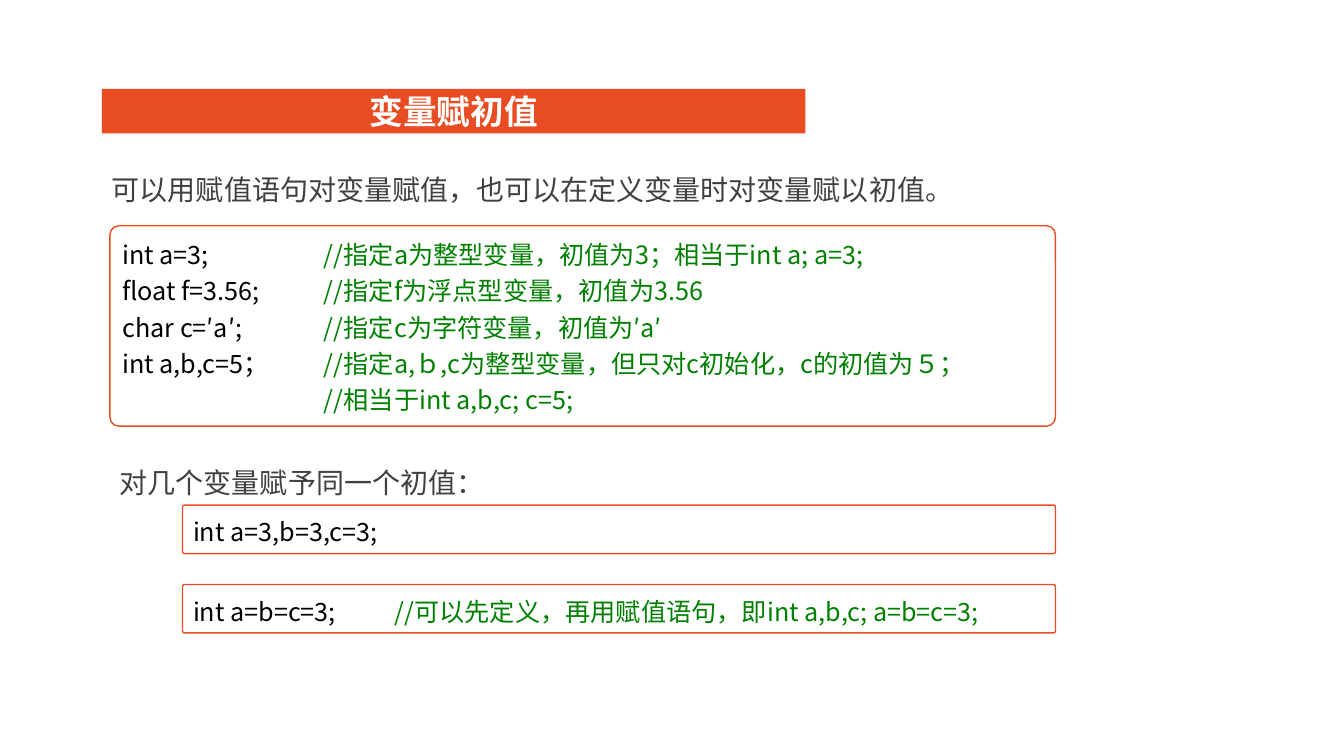
"""Build a slide on giving variables their initial values."""
from dataclasses import dataclass

from lxml.etree import SubElement
from pptx import Presentation
from pptx.dml.color import RGBColor
from pptx.enum.shapes import MSO_SHAPE as SHAPE
from pptx.enum.text import MSO_ANCHOR as ANCHOR, MSO_AUTO_SIZE as AUTO, PP_ALIGN as ALIGN
from pptx.oxml.ns import qn
from pptx.util import Cm, Pt

FONT = "Noto Sans CJK SC"
ORANGE, WHITE, GREY, BLACK, GREEN = "E84C22", "FFFFFF", "404040", "000000", "008000"
COMMENT_TAB = 5.08


@dataclass
class Box:
    left: float
    top: float
    width: float
    height: float

    def lengths(self) -> tuple:
        return Cm(self.left), Cm(self.top), Cm(self.width), Cm(self.height)


@dataclass
class Intro:
    box: Box
    text: str


@dataclass
class Code:
    box: Box
    lines: list[tuple[str, str]]


TITLE_BOX = Box(2.57, 2.24, 17.73, 1.12)
INTROS = [
    Intro(Box(2.57, 3.81, 26.54, 1.42), "可以用赋值语句对变量赋值，也可以在定义变量时对变量赋以初值。"),
    Intro(Box(2.77, 11.18, 12.8, 1.55), "对几个变量赋予同一个初值："),
]
CODES = [
    Code(Box(2.77, 5.69, 23.83, 5.05), [
        ("int a=3;", "//指定a为整型变量，初值为3；相当于int a; a=3;"),
        ("float f=3.56;", "//指定f为浮点型变量，初值为3.56"),
        ("char c=′a′;", "//指定c为字符变量，初值为′a′"),
        ("int a,b,c=5；", "//指定a,ｂ,c为整型变量，但只对c初始化，c的初值为５；"),
        ("", "//相当于int a,b,c; c=5;"),
    ]),
    Code(Box(4.6, 12.73, 22, 1.22), [("int a=3,b=3,c=3;", "")]),
    Code(Box(4.6, 14.73, 22, 1.22),
         [("int a=b=c=3;", "//可以先定义，再用赋值语句，即int a,b,c; a=b=c=3;")]),
]


def rgb(value: str) -> RGBColor:
    return RGBColor.from_string(value)


def format_run(r, size: float, color: str, bold: bool = False) -> None:
    r.font.size, r.font.bold, r.font.name = Pt(size), bold, FONT
    r.font.color.rgb = rgb(color)
    SubElement(r.font._element, qn("a:ea"), typeface=FONT)


def add_title(slide, text: str) -> None:
    sp = slide.shapes.title
    sp.left, sp.top, sp.width, sp.height = TITLE_BOX.lengths()
    sp.fill.solid()
    sp.fill.fore_color.rgb = rgb(ORANGE)
    tf = sp.text_frame
    tf.text = text
    tf.auto_size, tf.vertical_anchor = AUTO.NONE, ANCHOR.MIDDLE
    tf.margin_left = tf.margin_right = tf.margin_top = tf.margin_bottom = 0
    p = tf.paragraphs[0]
    p.alignment = ALIGN.CENTER
    format_run(p.runs[0], 24, WHITE, bold=True)


def add_intro(slide, intro: Intro) -> None:
    tf = slide.shapes.add_textbox(*intro.box.lengths()).text_frame
    tf.word_wrap = True
    tf.text = intro.text
    p = tf.paragraphs[0]
    p.line_spacing = 1.5
    format_run(p.runs[0], 20, GREY)


def add_code_line(p, statement: str, comment: str) -> None:
    tabs = SubElement(p._p.get_or_add_pPr(), qn("a:tabLst"))
    SubElement(tabs, qn("a:tab"), pos=str(Cm(COMMENT_TAB)), algn="l")
    p.alignment, p.line_spacing = ALIGN.JUSTIFY, 1.2
    parts = [(statement, BLACK), ("\t" + comment if comment else "", GREEN)]
    for text, color in parts:
        if text:
            r = p.add_run()
            r.text = text
            format_run(r, 18, color)


def add_code(slide, code: Code) -> None:
    sp = slide.shapes.add_shape(SHAPE.ROUNDED_RECTANGLE, *code.box.lengths())
    sp.adjustments[0] = 0.045
    sp.shadow.inherit = False
    sp.fill.solid()
    sp.fill.fore_color.rgb = rgb(WHITE)
    sp.line.color.rgb = rgb(ORANGE)
    sp.line.width = Pt(1)
    tf = sp.text_frame
    tf.word_wrap, tf.vertical_anchor = True, ANCHOR.TOP
    for i, (statement, comment) in enumerate(code.lines):
        p = tf.add_paragraph() if i else tf.paragraphs[0]
        add_code_line(p, statement, comment)


def main() -> None:
    prs = Presentation()
    prs.slide_width, prs.slide_height = Cm(33.87), Cm(19.05)
    slide = prs.slides.add_slide(prs.slide_layouts.get_by_name("Title Only"))
    add_title(slide, "变量赋初值")
    for intro in INTROS:
        add_intro(slide, intro)
    for code in CODES:
        add_code(slide, code)
    prs.save("out.pptx")


if __name__ == "__main__":
    main()
